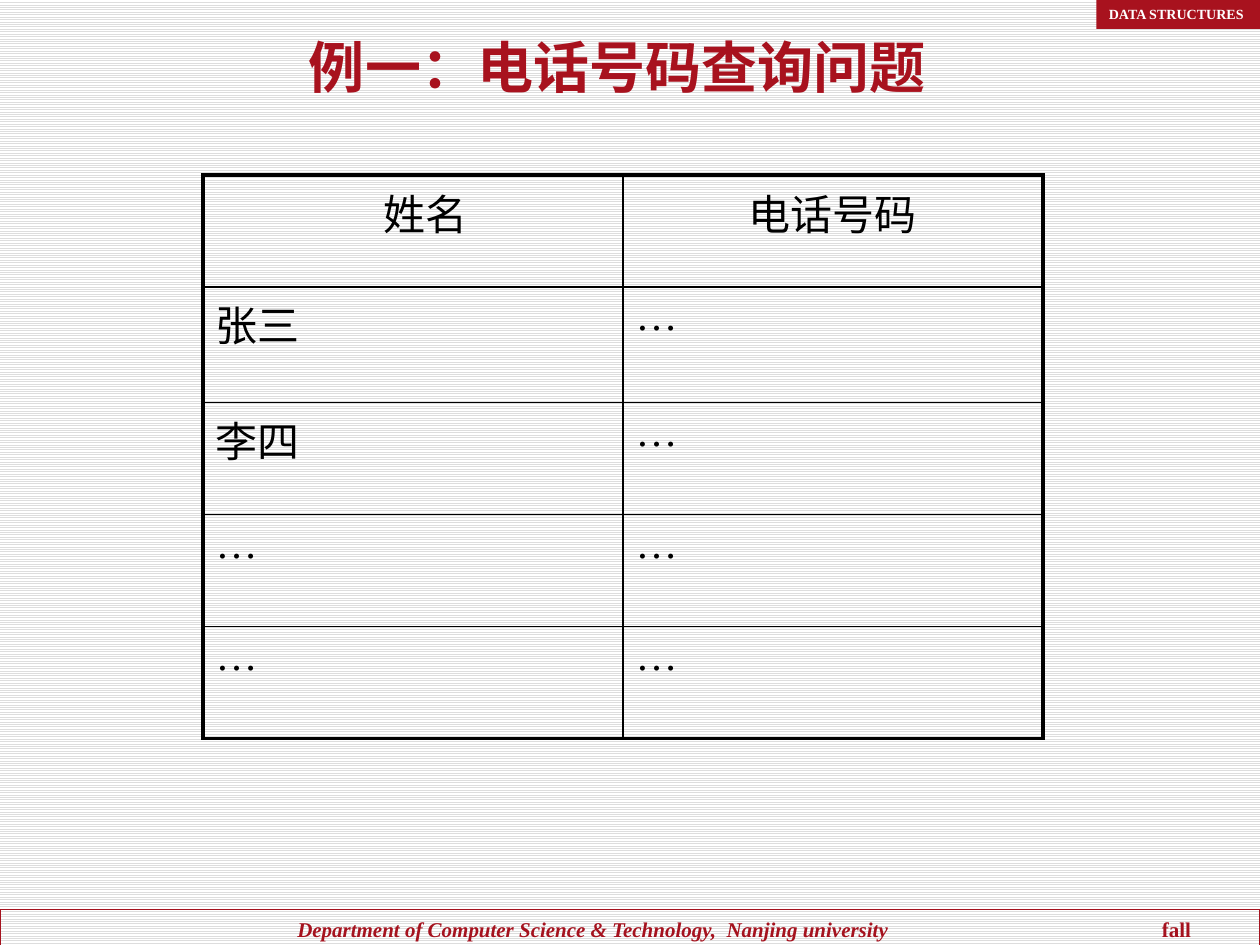
from dataclasses import dataclass

import pptx
import pptx.dml.color
import pptx.enum.dml
import pptx.enum.lang
import pptx.enum.shapes
import pptx.enum.text
import pptx.oxml
import pptx.oxml.ns
import pptx.util
from pptx.util import Pt

FONT = "Times New Roman"
CRIMSON = "A8121E"
FOOTER_RED = "A5121E"
ALIGN = pptx.enum.text.PP_ALIGN
ANCHOR = pptx.enum.text.MSO_ANCHOR


@dataclass
class Bar:
    text: str
    left: float
    top: float
    width: float
    height: float
    size: float
    color: str
    fill: str | None = None
    line: str | None = None
    inset: float = 0


@dataclass
class Entry:
    name: str
    number: str
    align: ALIGN = ALIGN.LEFT
    name_inset: float = 7.2


HEADER_TAG = Bar("DATA STRUCTURES", 626.5, 0, 95.5, 16.5, 8, "FFFFFF", fill=CRIMSON, inset=7.2)
FOOTER = Bar("", 0, 519.6, 720, 22.4, 12, FOOTER_RED, line=FOOTER_RED)
FOOTER_TABS = (("ctr", 339), ("l", 664))
ENTRIES = [
    Entry("姓名", "电话号码", ALIGN.CENTER, 21.5),
    Entry("张三", "…"),
    Entry("李四", "…"),
    Entry("…", "…"),
    Entry("…", "…"),
]
ROW_HEIGHTS = (64, 66, 64, 64, 64)


def rgb(color: str) -> pptx.dml.color.RGBColor:
    return pptx.dml.color.RGBColor.from_string(color)


def style_font(font, size: float, color: str, bold: bool = False) -> None:
    font.name = FONT
    font.size = Pt(size)
    font.bold = bold
    font.color.rgb = rgb(color)


def draw_bar(page, bar: Bar):
    box = page.shapes.add_shape(
        pptx.enum.shapes.MSO_SHAPE.RECTANGLE,
        Pt(bar.left), Pt(bar.top), Pt(bar.width), Pt(bar.height),
    )
    box.shadow.inherit = False
    if bar.fill:
        box.fill.solid()
        box.fill.fore_color.rgb = rgb(bar.fill)
    else:
        box.fill.background()
    if bar.line:
        box.line.color.rgb = rgb(bar.line)
        box.line.width = Pt(0.75)
    else:
        box.line.fill.background()
    frame = box.text_frame
    frame.word_wrap = True
    frame.vertical_anchor = ANCHOR.MIDDLE
    frame.margin_left = frame.margin_right = Pt(bar.inset)
    frame.margin_top = frame.margin_bottom = 0
    para = frame.paragraphs[0]
    para.text = bar.text
    para.alignment = ALIGN.LEFT
    return para


def draw_footer(page) -> None:
    para = draw_bar(page, FOOTER)
    properties = para._p.get_or_add_pPr()
    stops = pptx.oxml.parse_xml(f"<a:tabLst {pptx.oxml.ns.nsdecls('a')}/>")
    properties.append(stops)
    for align, position in FOOTER_TABS:
        stop = stops.makeelement(pptx.oxml.ns.qn("a:tab"), {"pos": str(Pt(position)), "algn": align})
        stops.append(stop)
    style_font(para.font, FOOTER.size, FOOTER.color, bold=True)
    department = para.add_run()
    department.text = "\tDepartment of Computer Science & Technology,  Nanjing university"
    department.font.italic = True
    term = para.add_run()
    term.text = "\tfall"


def set_border(cell, position: int, side: str, width: float) -> None:
    border = pptx.oxml.parse_xml(
        f'<a:{side} {pptx.oxml.ns.nsdecls("a")} w="{Pt(width)}">'
        '<a:solidFill><a:srgbClr val="000000"/></a:solidFill>'
        f"</a:{side}>"
    )
    cell._tc.get_or_add_tcPr().insert(position, border)


def draw_cell(cell, text: str, align: ALIGN, inset: float, outer_sides: dict[str, bool]) -> None:
    cell.fill.background()
    for position, (side, outer) in enumerate(outer_sides.items()):
        set_border(cell, position, side, 2.25 if outer else 1)
    cell.margin_left = Pt(inset)
    para = cell.text_frame.paragraphs[0]
    para.alignment = align
    span = para.add_run()
    span.text = text
    span.font.language_id = pptx.enum.lang.MSO_LANGUAGE_ID.SIMPLIFIED_CHINESE
    style_font(para.font, 24, "000000")


def draw_phone_table(page) -> None:
    table = page.shapes.add_table(len(ENTRIES), 2, Pt(116), Pt(100), Pt(480), Pt(sum(ROW_HEIGHTS))).table
    table.first_row = table.horz_banding = False
    for row, (entry, height) in enumerate(zip(ENTRIES, ROW_HEIGHTS)):
        table.rows[row].height = Pt(height)
        for column, (text, inset) in enumerate(((entry.name, entry.name_inset), (entry.number, 7.2))):
            outer_sides = {
                "lnL": column == 0,
                "lnR": column == 1,
                "lnT": row == 0,
                "lnB": row == len(ENTRIES) - 1,
            }
            draw_cell(table.cell(row, column), text, entry.align, inset, outer_sides)


def draw_title(page) -> None:
    title = page.shapes.title
    title.left, title.top, title.width, title.height = Pt(0), Pt(0), Pt(705.6), Pt(60.5)
    frame = title.text_frame
    frame.auto_size = pptx.enum.text.MSO_AUTO_SIZE.NONE
    frame.vertical_anchor = ANCHOR.BOTTOM
    para = frame.paragraphs[0]
    para.text = "例一：电话号码查询问题"
    para.alignment = ALIGN.CENTER
    style_font(para.font, 32, CRIMSON, bold=True)


def main() -> None:
    deck = pptx.Presentation()
    deck.slide_width, deck.slide_height = Pt(720), Pt(540)
    page = deck.slides.add_slide(deck.slide_layouts[5])
    backdrop = page.background.fill
    backdrop.patterned()
    backdrop.pattern = pptx.enum.dml.MSO_PATTERN.LIGHT_HORIZONTAL
    backdrop.fore_color.rgb = rgb("DDDDDD")
    backdrop.back_color.rgb = rgb("FFFFFF")
    draw_footer(page)
    tag = draw_bar(page, HEADER_TAG)
    style_font(tag.font, HEADER_TAG.size, HEADER_TAG.color, bold=True)
    draw_phone_table(page)
    draw_title(page)
    deck.save("out.pptx")


if __name__ == "__main__":
    main()
